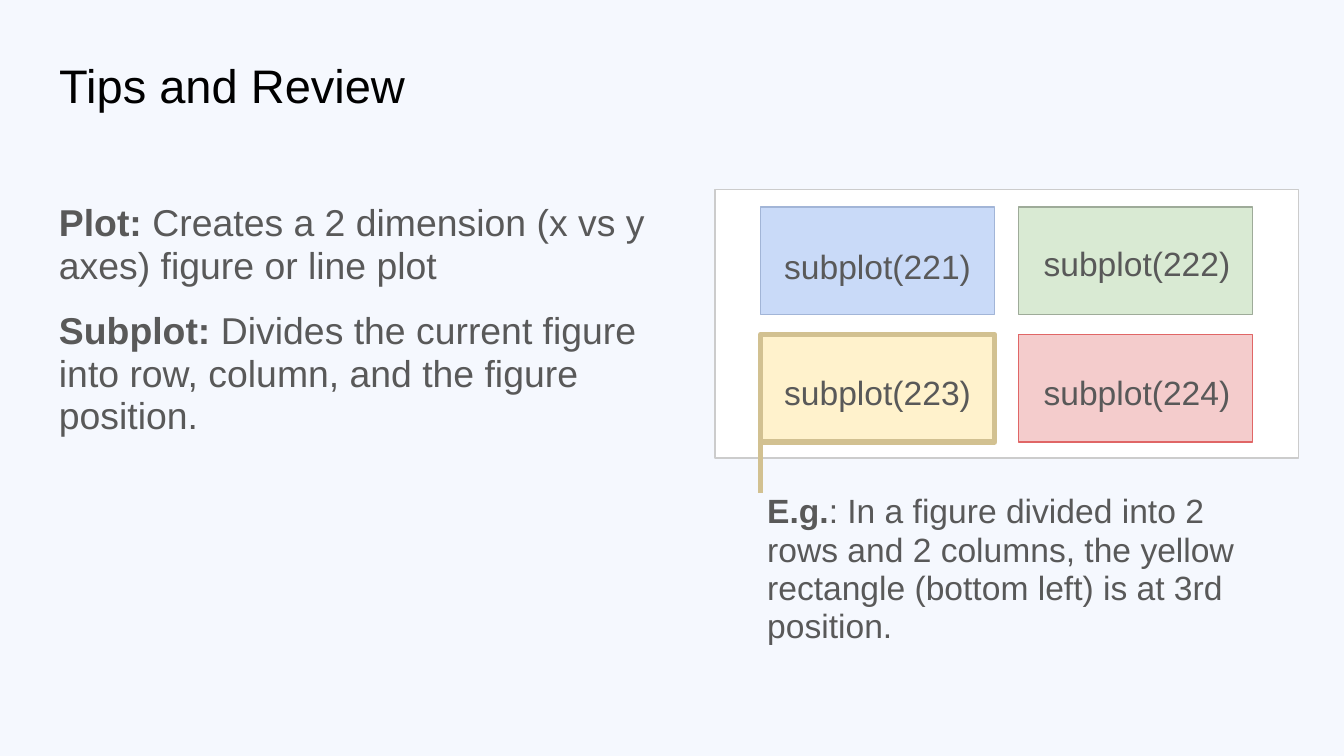
"""Build the 'Tips and Review' slide on plotting and subplots."""
from lxml import etree
from pptx import Presentation
from pptx import util as u
from pptx.dml.color import RGBColor
from pptx.enum import shapes, text
from pptx.oxml.ns import qn

COLORS = {
    "background": "F5F8FE", "title": "000000", "body": "595959",
    "figure": "FFFFFF", "figure_edge": "CCCCCC",
    "blue": "C9DAF8", "blue_edge": "A2B5D7",
    "green": "D9EAD3", "green_edge": "9EAB99",
    "yellow": "FFF2CC", "yellow_edge": "D2C191",
    "red": "F4CCCC", "red_edge": "E06666",
}

deck = Presentation()
deck.slide_width, deck.slide_height = u.Inches(10), u.Inches(5.625)
COL = ROW = deck.slide_width / 100
slide = deck.slides.add_slide(deck.slide_layouts[5])
slide.background.fill.solid()
slide.background.fill.fore_color.rgb = RGBColor.from_string(COLORS["background"])


def cells(left, top, width, height):
    return [round(n * size) for n, size in zip((left, top, width, height), (COL, ROW, COL, ROW))]


def write(box, paragraphs, size, color="body", spacing=0.95, after=12,
          align=text.PP_ALIGN.LEFT, anchor=text.MSO_ANCHOR.TOP):
    frame = box.text_frame
    frame.word_wrap = True
    frame.auto_size = text.MSO_AUTO_SIZE.NONE
    frame.vertical_anchor = anchor
    frame.margin_left = frame.margin_right = frame.margin_top = frame.margin_bottom = round(COL)
    for i, (term, rest) in enumerate(paragraphs):
        line = frame.paragraphs[0] if i == 0 else frame.add_paragraph()
        line.alignment, line.line_spacing = align, spacing
        line.space_before = u.Pt(12 if i else 0)
        line.space_after = u.Pt(after)
        line.font.size, line.font.name = u.Pt(size), "Arial"
        line.font.color.rgb = RGBColor.from_string(COLORS[color])
        if term:
            lead = line.add_run()
            lead.text, lead.font.bold = term, True
        line.add_run().text = rest


heading = slide.shapes.title
heading.left, heading.top, heading.width, heading.height = cells(3.4, 3.2, 93.2, 6.3)
write(heading, [("", "Tips and Review")], 25.2, "title", spacing=1, after=0)

definitions = slide.shapes.add_textbox(*cells(3.4, 14.1, 47.9, 32.1))
write(definitions, [
    ("Plot:", " Creates a 2 dimension (x vs y axes) figure or line plot"),
    ("Subplot:", " Divides the current figure into row, column, and the figure position."),
], 20, after=0)

panels = [("figure", 0.75, cells(53.2, 14.1, 43.4, 20))]
for i, name in enumerate(("blue", "green", "yellow", "red")):
    row, col = divmod(i, 2)
    weight = 3 if name == "yellow" else 0.75
    panels.append((name, weight, cells(56.6 + 19.2 * col, 15.4 + 9.5 * row, 17.4, 8)))

for name, weight, area in panels:
    panel = slide.shapes.add_shape(shapes.MSO_SHAPE.RECTANGLE, *area)
    panel.shadow.inherit = False
    panel.fill.solid()
    panel.fill.fore_color.rgb = RGBColor.from_string(COLORS[name])
    panel.line.color.rgb = RGBColor.from_string(COLORS[name + "_edge"])
    panel.line.width = u.Pt(weight)

for i, top in enumerate((16.9, 16.7, 26.3, 26.3)):
    label = slide.shapes.add_textbox(*cells(56.3 + 19.3 * (i % 2), top, 18, 5.3))
    write(label, [("", f"subplot({221 + i})")], 18, spacing=1.15,
          align=text.PP_ALIGN.CENTER, anchor=text.MSO_ANCHOR.MIDDLE)

example = slide.shapes.add_textbox(*cells(56.1, 35.7, 39.2, 13.5))
write(example, [("E.g.", ": In a figure divided into 2 rows and 2 columns, "
                 "the yellow rectangle (bottom left) is at 3rd position.")], 18)

pointer = slide.shapes.add_connector(shapes.MSO_CONNECTOR.STRAIGHT, *cells(56.6, 32.9, 56.6, 36.7))
pointer.line.color.rgb = RGBColor.from_string(COLORS["yellow_edge"])
pointer.line.width = u.Pt(3)
etree.SubElement(pointer._element.spPr, qn("a:effectLst"))

deck.save("out.pptx")
